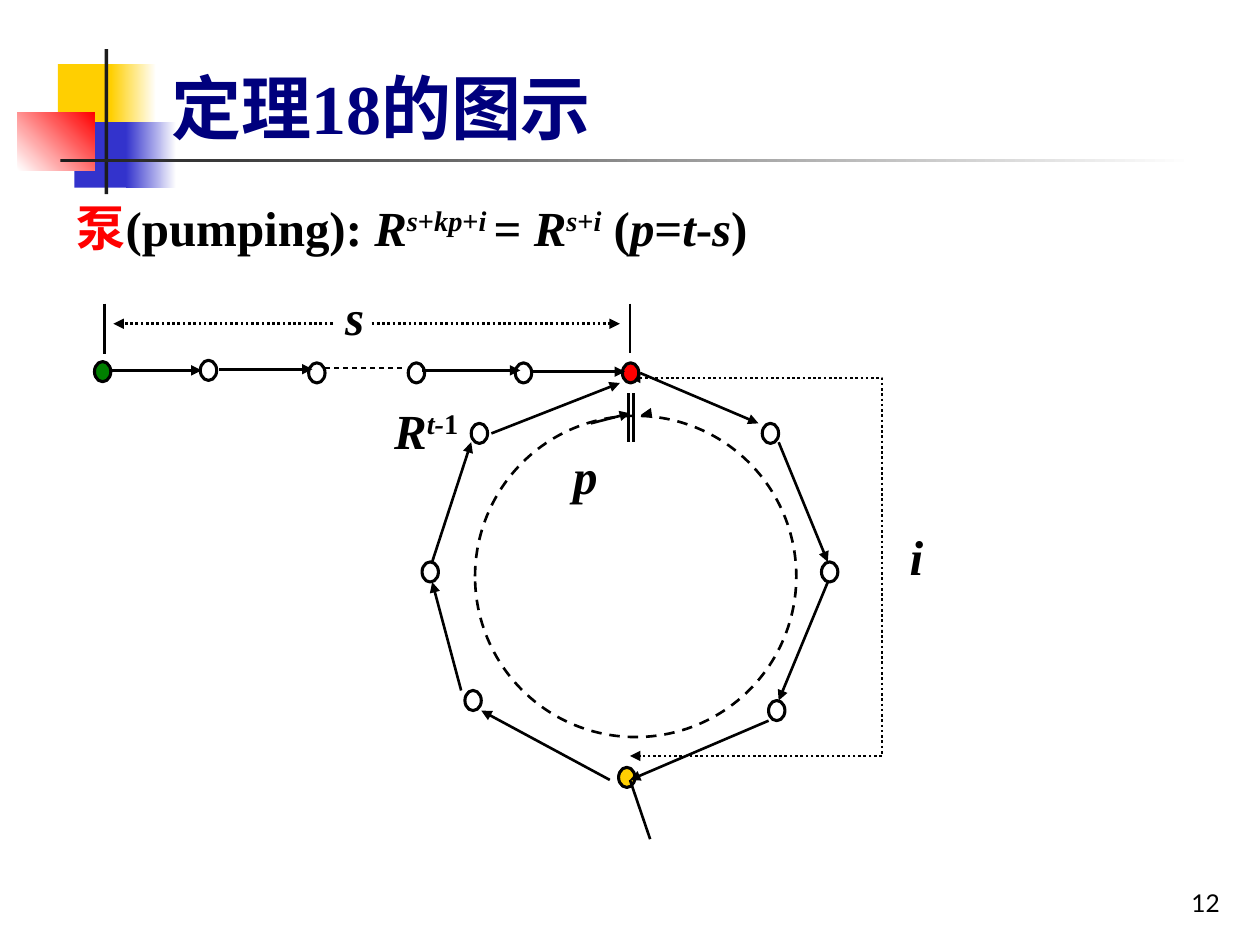
"""Build the slide that illustrates theorem 18 with a tail path and a cycle."""
from lxml import etree
from pptx import Presentation
from pptx import util as u
from pptx.dml.color import RGBColor
from pptx.enum import dml, shapes, text
from pptx.oxml.ns import qn

COLORS = {"navy": "00007D", "blue": "3333CC", "yellow": "FFCF01", "red": "FF0000",
          "green": "008000", "dark": "1C1C1C", "black": "000000", "white": "FFFFFF"}
RGB = {name: RGBColor.from_string(value) for name, value in COLORS.items()}
DOT, DASH = dml.MSO_LINE.ROUND_DOT, dml.MSO_LINE.DASH


def write(sp, box, runs, size=28, font="Times New Roman", bold=True, color="black",
          anchor=text.MSO_ANCHOR.TOP, align=text.PP_ALIGN.LEFT, spacing=1.1):
    sp.left, sp.top, sp.width, sp.height = [u.Inches(v) for v in box]
    tf = sp.text_frame
    tf.word_wrap = True
    tf.auto_size = text.MSO_AUTO_SIZE.NONE
    tf.vertical_anchor = anchor
    p = tf.paragraphs[0]
    p.alignment, p.line_spacing = align, spacing
    for content, style in runs:
        r = p.add_run()
        r.text = content
        r.font.name, r.font.size, r.font.bold = font, u.Pt(size), bold
        r.font.italic = "i" in style
        r.font.color.rgb = RGB["red" if "r" in style else color]
        if "^" in style:
            r._r.get_or_add_rPr().set("baseline", "30000")


def stroke(sp, width=1.5, dash=None, ends=()):
    sp.line.color.rgb = RGB["black"]
    sp.line.width = u.Pt(width)
    if dash:
        sp.line.dash_style = dash
    for end in ends:
        etree.SubElement(sp.line._get_or_add_ln(), qn(f"a:{end}"), type="triangle")
    effects = sp._element.spPr
    if effects.find(qn("a:effectLst")) is None:
        etree.SubElement(effects, qn("a:effectLst"))


prs = Presentation()
prs.slide_width, prs.slide_height = u.Inches(10), u.Inches(7.5)
s = prs.slides.add_slide(prs.slide_layouts[5])
title = s.shapes.title

decorations = [
    ((0.46, 0.51, 0.48, 0.52), "yellow", None, 0),
    ((0.88, 0.51, 0.36, 0.52), "yellow", "white", 0),
    ((0.59, 0.97, 0.46, 0.52), "blue", None, 0),
    ((1, 0.97, 0.4, 0.52), "blue", "white", 0),
    ((0.14, 0.89, 0.61, 0.46), "white", "red", 45),
    ((0.83, 0.39, 0.03, 1.15), "dark", None, 0),
    ((0.48, 1.26, 9, 0.03), "dark", "white", 0),
]
for box, start, end, angle in decorations:
    sp = s.shapes.add_shape(shapes.MSO_SHAPE.RECTANGLE, *[u.Inches(v) for v in box])
    sp.shadow.inherit = False
    sp.line.fill.background()
    if end:
        sp.fill.gradient()
        sp.fill.gradient_angle = angle
        for stop, name in zip(sp.fill.gradient_stops, (start, end)):
            stop.color.rgb = RGB[name]
    else:
        sp.fill.solid()
        sp.fill.fore_color.rgb = RGB[start]

s.shapes.element.append(title.element)
write(title, (1.26, 0.39, 8.52, 0.84), [("定理18的图示", "")], size=40, color="navy",
      anchor=text.MSO_ANCHOR.BOTTOM, spacing=1)

formula = [("泵", "r"), ("(pumping): ", ""), ("R", "i"), ("s", "i^"), ("+", "^"),
           ("kp", "i^"), ("+", "^"), ("i ", "i^"), ("= ", ""), ("R", "i"), ("s", "i^"),
           ("+", "^"), ("i", "i^"), (" (", ""), ("p", "i"), ("=", ""), ("t", "i"),
           ("-", ""), ("s", "i"), (")", "")]
labels = [
    ((0.51, 1.47, 9.13, 0.7), formula),
    ((7.12, 4.08, 0.48, 0.62), [("i", "i")]),
    ((2.64, 2.18, 0.48, 0.62), [("s", "i")]),
    ((4.45, 3.44, 1.14, 0.62), [("p", "i")]),
    ((3.03, 3.08, 1.24, 0.62), [("R", "i"), ("t-", "i^"), ("1", "^")]),
]
for box, runs in labels:
    write(s.shapes.add_textbox(0, 0, 0, 0), box, runs)
write(s.shapes.add_textbox(0, 0, 0, 0), (7.7, 6.83, 2.08, 0.5), [("12", "")], size=14,
      font="Lato", bold=False, anchor=text.MSO_ANCHOR.BOTTOM,
      align=text.PP_ALIGN.RIGHT, spacing=1)

arc = [(5, 2.58), (5.16, 2.58), (5.42, 2.6), (5.71, 2.68), (5.98, 2.81), (6.31, 3.05),
       (6.6, 3.3), (6.79, 3.54), (6.93, 3.88), (7.03, 4.23), (7.05, 4.68), (7.01, 5.03),
       (6.81, 5.48), (6.62, 5.77), (6.34, 6.01), (5.97, 6.23), (5.49, 6.42), (5.08, 6.48)]
padded = [arc[0], *arc, arc[-1]]
smooth = []
for a, b, c, d in zip(padded, padded[1:], padded[2:], padded[3:]):
    for t in (0.25, 0.5, 0.75, 1):
        smooth.append([
            (2 * q + (r - o) * t + (2 * o - 5 * q + 4 * r - v) * t**2
             + (3 * q - o - 3 * r + v) * t**3) / 2
            for o, q, r, v in zip(a, b, c, d)])
builder = s.shapes.build_freeform(*arc[0], scale=u.Inches(1))
builder.add_line_segments(smooth, close=False)
sp = builder.convert_to_shape()
sp.fill.background()
stroke(sp, dash=DOT, ends=("headEnd", "tailEnd"))

nodes = [(0.75, 2.87, "green"), (1.59, 2.86, None), (2.45, 2.88, None), (3.24, 2.88, None),
         (4.09, 2.88, None), (4.94, 2.88, "red"), (6.05, 3.36, None), (6.52, 4.46, None),
         (6.1, 5.56, None), (4.91, 6.09, "yellow"), (3.69, 5.48, None), (3.35, 4.46, None),
         (3.74, 3.36, None)]
ovals = [((x, y, 0.13, 0.16), fill, 1.75, None) for x, y, fill in nodes]
ovals.append(((3.77, 3.3, 2.55, 2.55), None, 1.5, DASH))
for box, fill, width, dash in ovals:
    sp = s.shapes.add_shape(shapes.MSO_SHAPE.OVAL, *[u.Inches(v) for v in box])
    if fill:
        sp.fill.solid()
        sp.fill.fore_color.rgb = RGB[fill]
    else:
        sp.fill.background()
    stroke(sp, width, dash)

arrow = ("tailEnd",)
path_arrows = [(1.74, 2.93, 2.48, 2.93), (3.35, 2.94, 4.13, 2.94), (4.21, 2.95, 4.96, 2.95)]
cycle_arrows = [(0.89, 2.94, 1.6, 2.94), (5.08, 2.96, 6.02, 3.36), (6.18, 3.51, 6.57, 4.46),
                (6.57, 4.62, 6.18, 5.56), (6.1, 5.72, 5, 6.19), (4.84, 6.19, 3.82, 5.64),
                (3.66, 5.48, 3.43, 4.62), (3.43, 4.46, 3.74, 3.51), (3.9, 3.44, 4.92, 3.04),
                (5.16, 3.28, 5.09, 3.29), (4.69, 3.36, 5, 3.28)]
span_arrows = [(2.64, 2.57, 0.9, 2.57), (2.95, 2.57, 4.92, 2.57)]
ticks = [(0.83, 2.41, 0.83, 2.81), (5, 2.41, 5, 2.8), (5.03, 3.12, 5.03, 3.51),
         (4.99, 3.12, 4.99, 3.51), (5.16, 6.66, 5, 6.19)]
line_groups = [(path_arrows, 1.75, None, arrow), (cycle_arrows, 1.5, None, arrow),
               (span_arrows, 1.5, DOT, arrow), (ticks, 1.5, None, ()),
               ([(2.58, 2.92, 3.19, 2.92)], 0.75, DASH, ())]
for lines, width, dash, ends in line_groups:
    for ends_at in lines:
        sp = s.shapes.add_connector(shapes.MSO_CONNECTOR.STRAIGHT,
                                    *[u.Inches(v) for v in ends_at])
        stroke(sp, width, dash, ends)

prs.save("out.pptx")
